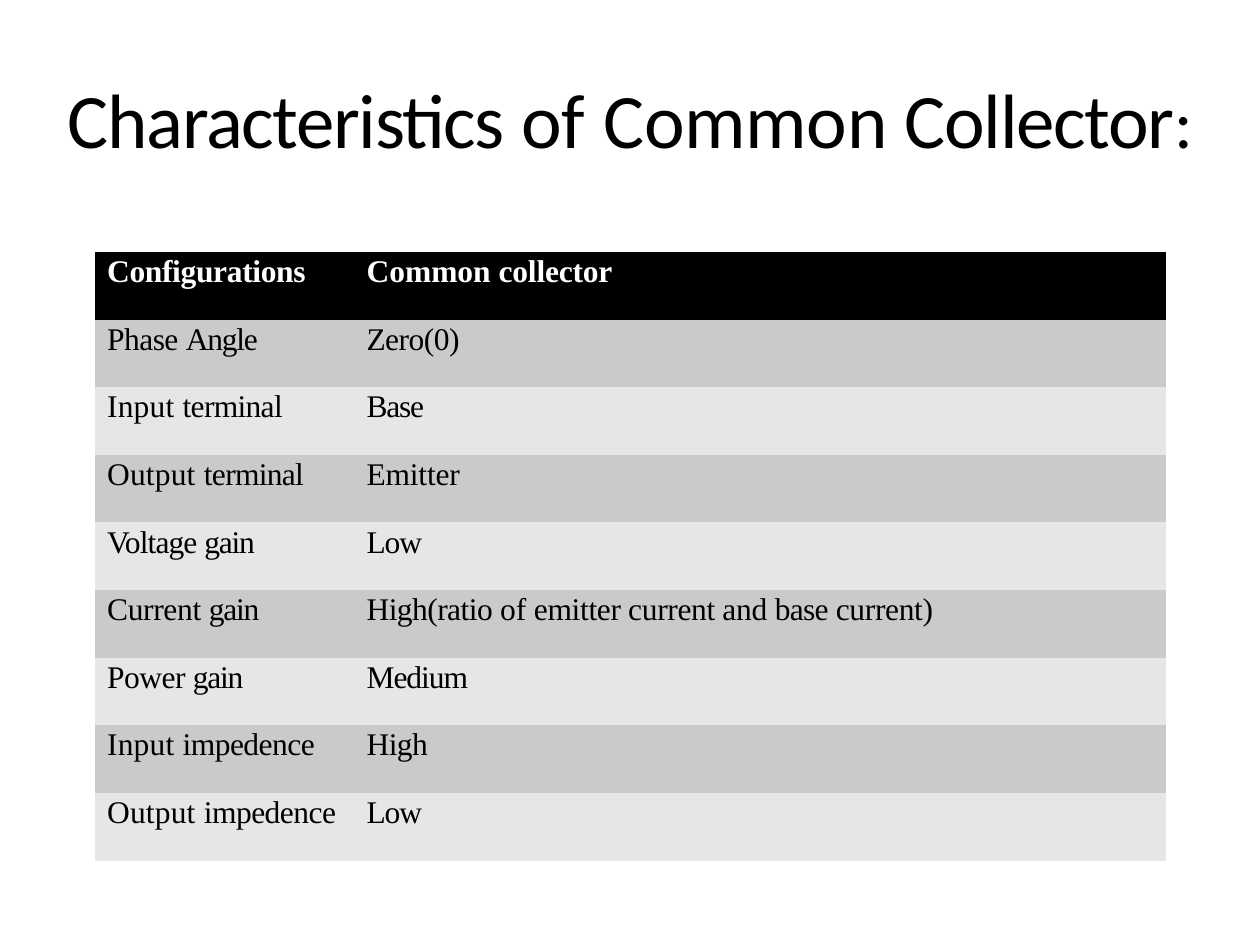
from pptx import Presentation
from pptx.dml.color import RGBColor
from pptx.enum import text
from pptx.oxml.ns import qn
from pptx.util import Cm, Pt
from lxml import etree

HUES = {"ink": "000000", "head": "FFFFFF", "bar": "000000", "odd": "CACACA", "even": "E6E6E6"}
PLAIN = "{2D5ABB26-0587-4C30-8999-92F81FD0307C}"
TITLE = [("Characteristics ", -0.8, 44), ("of\t", -0.2, 44), ("Common ", -0.2, 44),
         ("Collector", -0.8, 44), (":", -0.8, 40)]
ROWS = [
    ([("Configurations", -0.2)], [("Common ", 0), ("collector", -0.1)]),
    ([("Phase ", -0.3), ("Angle", -0.7)], [("Zero(0)", -0.3)]),
    ([("Input ", 0.1), ("terminal", -0.4)], [("Base", -0.7)]),
    ([("Output ", 0.1), ("terminal", -0.4)], [("Emitter", -0.1)]),
    ([("Voltage ", -0.5), ("gain", -0.7)], [("Low", -0.6)]),
    ([("Current ", -0.2), ("gain", -0.7)],
     [("High(ratio ", -0.3), ("of ", -0.1), ("emitter current and ", -0.2),
      ("base ", -0.4), ("current)", -0.2)]),
    ([("Power ", -0.3), ("gain", -0.7)], [("Medium", -0.6)]),
    ([("Input ", 0.1), ("impedence", -0.3)], [("High", -0.3)]),
    ([("Output ", 0.1), ("impedence", -0.3)], [("Low", -0.6)]),
]
WIDTHS = [5.18, 16.41]
INDENTS = [0.25, 0.3]
HEIGHT = 12.27


def add_run(para, words, gap, size, face, hue, bold=False):
    run = para.add_run()
    run.text = words
    font = run.font
    font.size, font.name, font.bold = Pt(size), face, bold
    font.color.rgb = RGBColor.from_string(HUES[hue])
    run._r.get_or_add_rPr().set("spc", str(round(gap * 100)))


def indent(para, left, first=0):
    props = para._p.get_or_add_pPr()
    props.set("marL", str(Cm(left)))
    props.set("indent", str(Cm(first)))
    return props


def add_title(slide):
    title = slide.shapes.title
    title.left, title.top, title.width, title.height = Cm(1.27), Cm(0.76), Cm(22.86), Cm(3.18)
    frame = title.text_frame
    frame.margin_left = frame.margin_right = frame.margin_bottom = 0
    frame.margin_top = Cm(0.03)
    frame.word_wrap = True
    frame.auto_size = text.MSO_AUTO_SIZE.SHAPE_TO_FIT_TEXT
    frame.vertical_anchor = text.MSO_ANCHOR.MIDDLE
    para = frame.paragraphs[0]
    para.alignment = text.PP_ALIGN.CENTER
    tabs = etree.SubElement(indent(para, 4.47, -4.45), qn("a:tabLst"))
    etree.SubElement(tabs, qn("a:tab"), pos=str(Cm(9.04)), algn="l")
    for words, gap, size in TITLE:
        add_run(para, words, gap, size, "Calibri", "ink")


def add_grid(slide):
    grid = slide.shapes.add_table(len(ROWS), len(WIDTHS), Cm(1.91), Cm(5.08),
                                  Cm(sum(WIDTHS)), Cm(HEIGHT)).table
    grid._tbl.tblPr.find(qn("a:tableStyleId")).text = PLAIN
    for col, width in zip(grid.columns, WIDTHS):
        col.width = Cm(width)
    for i, row in enumerate(ROWS):
        grid.rows[i].height = Cm(HEIGHT / len(ROWS))
        fill = "bar" if i == 0 else "odd" if i % 2 else "even"
        for j, runs in enumerate(row):
            cell = grid.cell(i, j)
            cell.fill.solid()
            cell.fill.fore_color.rgb = RGBColor.from_string(HUES[fill])
            cell.margin_left = cell.margin_right = cell.margin_bottom = 0
            cell.margin_top = Cm(0.05)
            para = cell.text_frame.paragraphs[0]
            indent(para, INDENTS[j])
            for words, gap in runs:
                add_run(para, words, gap, 18, "Times New Roman",
                        "ink" if i else "head", i == 0)


def main():
    deck = Presentation()
    deck.slide_width, deck.slide_height = Cm(25.4), Cm(19.05)
    slide = deck.slides.add_slide(deck.slide_layouts[5])
    add_title(slide)
    add_grid(slide)
    deck.save("out.pptx")


if __name__ == "__main__":
    main()
